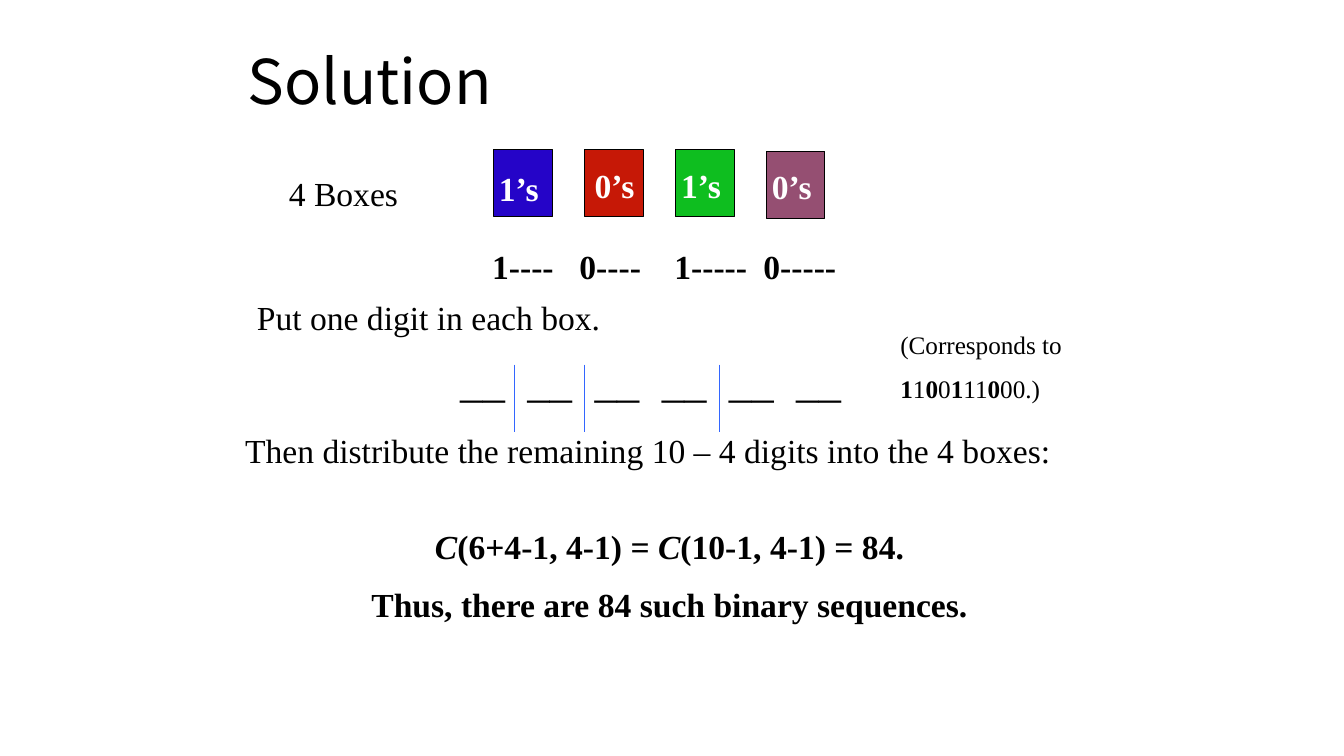
from dataclasses import dataclass

from lxml.etree import SubElement
from pptx import Presentation
from pptx.dml.color import RGBColor
from pptx.enum.shapes import MSO_CONNECTOR as Connector, MSO_SHAPE as Shape
from pptx.enum.text import MSO_ANCHOR as Anchor, MSO_AUTO_SIZE as AutoSize, PP_ALIGN as Align
from pptx.oxml.ns import qn
from pptx.util import Inches, Pt

COLUMNS, ROWS = 80, 45
TITLE_ONLY = 5


@dataclass(frozen=True)
class Theme:
    title_font: str = "Noto Sans CJK SC"
    body_font: str = "Times New Roman"
    title_size: int = 44
    blank_size: int = 32
    body_size: int = 24
    note_size: int = 18
    hairline: float = 0.75
    ink: str = "000000"
    light: str = "FFFFFF"
    divider: str = "3366FF"
    blue: str = "2504C8"
    red: str = "C61806"
    green: str = "0EBE1F"
    plum: str = "954F72"


class SlideBuilder:
    """Places elements on one slide, measured in grid columns and rows."""

    def __init__(self, deck, theme):
        self.theme = theme
        self.column = deck.slide_width / COLUMNS
        self.row = deck.slide_height / ROWS
        self.page = deck.slides.add_slide(deck.slide_layouts[TITLE_ONLY])
        self.shapes = self.page.shapes

    def frame(self, left, top, width, height):
        """Turn a grid rectangle into slide lengths."""
        return (round(left * self.column), round(top * self.row),
                round(width * self.column), round(height * self.row))

    def set_font(self, para, name, size, color, bold=None):
        para.font.name = name
        para.font.size = Pt(size)
        para.font.bold = bold
        para.font.color.rgb = RGBColor.from_string(color)

    def title(self, text, *place):
        box = self.page.shapes.title
        box.left, box.top, box.width, box.height = self.frame(*place)
        box.text_frame.text = text
        box.text_frame.auto_size = AutoSize.NONE
        box.text_frame.vertical_anchor = Anchor.MIDDLE
        para = box.text_frame.paragraphs[0]
        para.alignment = Align.LEFT
        para.line_spacing = 0.9
        self.set_font(para, self.theme.title_font, self.theme.title_size, self.theme.ink)

    def text(self, paragraphs, *place, size=None, color=None, bold=None,
             align=Align.LEFT, tabs=()):
        """Add paragraphs, each a list of (text, style) with style "", "b" or "bi"."""
        size = size or self.theme.body_size
        box = self.shapes.add_textbox(*self.frame(*place))
        box.text_frame.word_wrap = True
        for index, spans in enumerate(paragraphs):
            para = box.text_frame.paragraphs[0] if index == 0 else box.text_frame.add_paragraph()
            para.alignment = align
            if index:
                para.space_before = Pt(round(size * 0.55))
            if tabs:
                self.tab_stops(para, tabs)
            self.set_font(para, self.theme.body_font, size, color or self.theme.ink, bold)
            for words, style in spans:
                span = para.add_run()
                span.text = words
                if "b" in style:
                    span.font.bold = True
                if "i" in style:
                    span.font.italic = True

    def tab_stops(self, para, columns):
        stops = SubElement(para._p.get_or_add_pPr(), qn("a:tabLst"))
        for column in columns:
            SubElement(stops, qn("a:tab"), pos=str(round(column * self.column)), algn="l")

    def square(self, color, *place):
        box = self.shapes.add_shape(Shape.RECTANGLE, *self.frame(*place))
        box.shadow.inherit = False
        box.fill.solid()
        box.fill.fore_color.rgb = RGBColor.from_string(color)
        box.line.color.rgb = RGBColor.from_string(self.theme.ink)
        box.line.width = Pt(self.theme.hairline)

    def divider(self, column, top, bottom):
        x, y, _, height = self.frame(column, top, 0, bottom - top)
        line = self.shapes.add_connector(Connector.STRAIGHT, x, y, x, y + height)
        line.line.color.rgb = RGBColor.from_string(self.theme.divider)
        line.line.width = Pt(self.theme.hairline)
        SubElement(line._element.spPr, qn("a:effectLst"))

    def start_group(self):
        """Put every following element into a new group."""
        self.shapes = self.page.shapes.add_group_shape().shapes


def main():
    deck = Presentation()
    deck.slide_width, deck.slide_height = Inches(13.333), Inches(7.5)
    theme = Theme()
    slide = SlideBuilder(deck, theme)

    slide.title("Solution", 14.15, 1.3, 51, 7.5)
    slide.text([[("4 Boxes", "")]], 16.6, 10, 10, 3)

    digit_boxes = [
        ("1’s", theme.blue, 8.9, 29.1, 9.7),
        ("0’s", theme.red, 8.9, 34.8, 9.55),
        ("1’s", theme.green, 8.9, 39.95, 9.55),
        ("0’s", theme.plum, 9, 45.35, 9.6),
    ]
    for index, (digit, color, top, label_left, label_top) in enumerate(digit_boxes):
        slide.square(color, 29.4 + 5.4 * index, top, 3.5, 4)
        slide.text([[(digit, "")]], label_left, label_top, 4.4, 3, color=theme.light, bold=True)

    slide.text([[("1----\t0----\t1-----\t0-----", "")]], 28.7, 14.35, 27.9, 3,
               bold=True, tabs=(5.2, 10.85, 16.15))
    slide.text([[("Put one digit in each box.", "")]], 14.7, 17.4, 47.4, 3)
    slide.text([[("Then distribute the remaining 10 – 4 digits into the 4 boxes:", "")]],
               14, 25.3, 52, 6.65)
    slide.text([[("C", "bi"), ("(6+4-1, 4-1) ", "b"), ("= C", "bi"),
                 ("(10-1, 4-1) = 84.", "b")],
                [("Thus, there are 84 such binary sequences.", "b")]],
               14, 31, 51.7, 10.3, align=Align.CENTER)
    slide.text([[("(Corresponds to", "")],
                [("1", "b"), ("1", ""), ("0", "b"), ("0", ""), ("1", "b"),
                 ("11", ""), ("0", "b"), ("00.)", "")]],
               53, 19.3, 14.3, 5.1, size=theme.note_size)

    slide.start_group()
    blanks = 6
    slide.text([[("\t".join(["__"] * blanks), "")]], 26.8, 20.7, 27.4, 3.8,
               size=theme.blank_size, tabs=[4 * step for step in range(1, blanks)])
    for column in (30.6, 34.8, 42.8):
        slide.divider(column, 21.7, 25.7)

    deck.save("out.pptx")


if __name__ == "__main__":
    main()
